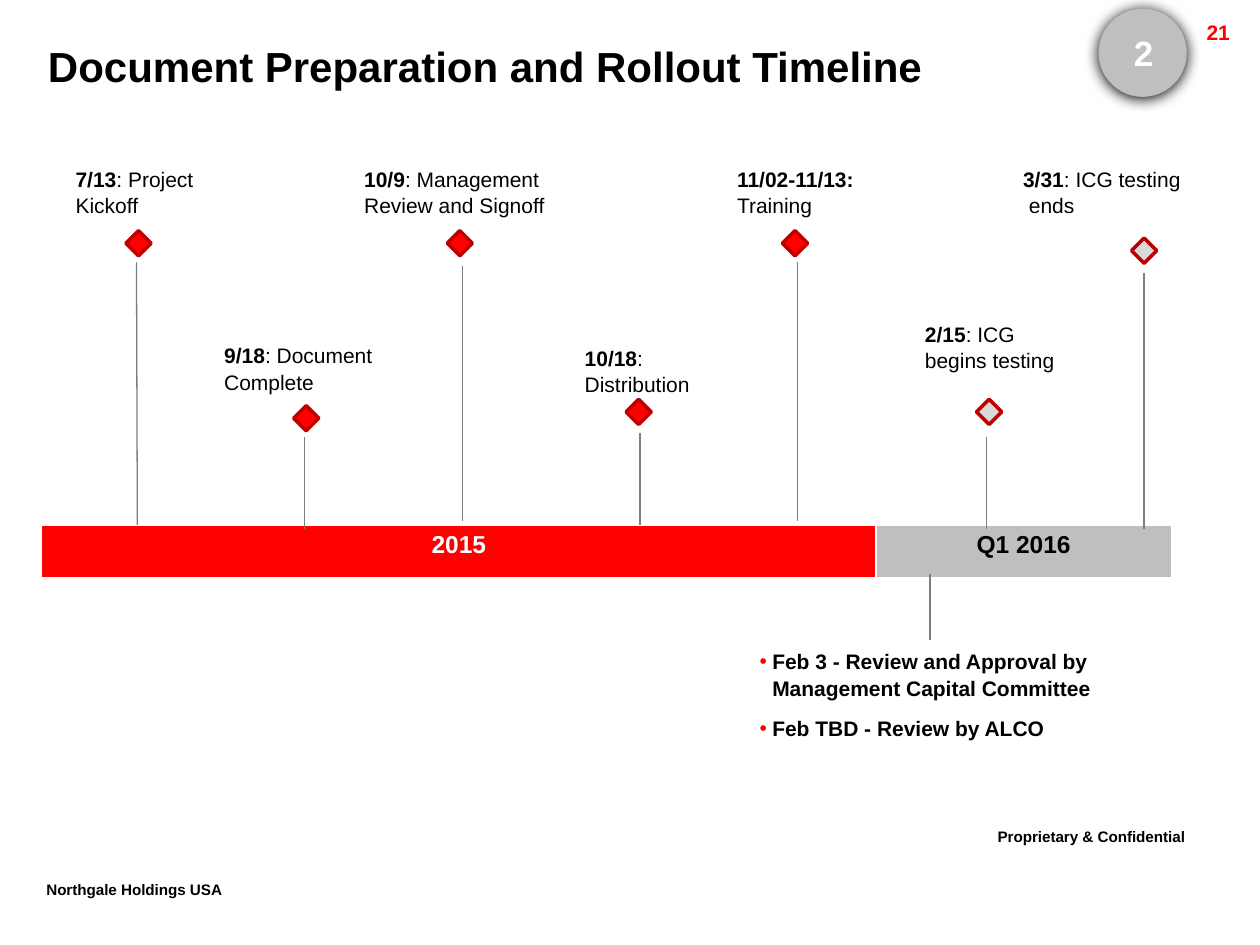
import dataclasses

import pptx
import pptx.dml.color
import pptx.enum.shapes
import pptx.enum.text
import pptx.oxml
import pptx.oxml.ns
import pptx.util

Pt = pptx.util.Pt
RGB = pptx.dml.color.RGBColor.from_string
SHAPE = pptx.enum.shapes.MSO_SHAPE
ALIGN = pptx.enum.text.PP_ALIGN
ANCHOR = pptx.enum.text.MSO_ANCHOR
NAMESPACE = pptx.oxml.ns.nsdecls("a")


@dataclasses.dataclass(frozen=True)
class Theme:
    font: str = "Arial"
    ink: str = "000000"
    paper: str = "FFFFFF"
    accent: str = "FF0000"
    outline: str = "C00000"
    band: str = "BFBFBF"
    pending: str = "D9D9D9"
    stem: str = "7D7D7D"
    title_size: float = 24
    badge_size: float = 20
    footer_size: float = 15
    band_size: float = 14
    text_size: float = 12
    leading: float = 1.05


THEME = Theme()
DIAMOND = 14.4
LABEL_HEIGHT = 37.4
LABEL_INSETS = (7.9, 4.3)
PLAIN_INSETS = (7.2, 3.6)

# (date, rest, label box, diamond corner, stem ends, completed)
MILESTONES = [
    ("7/13", ": Project Kickoff", (35.3, 90, 96.5), (72, 131.8), (78, 150, 78.5, 300), True),
    ("9/18", ": Document Complete", (120.2, 190.8, 106.6), (167.8, 231.8), (174.2, 249.8, 174.2, 302.4), True),
    ("10/9", ": Management Review and Signoff", (200.2, 90, 136), (255.6, 131.8), (264.2, 152, 264.2, 298), True),
    ("10/18", ": Distribution", (326.2, 192.2, 82), (357.8, 228.2), (365.8, 247.7, 365.8, 300), True),
    ("11/02-11/13:", "\nTraining", (413.3, 90, 90.7), (447.1, 131.8), (455.8, 150, 455.8, 298), True),
    ("2/15", ": ICG\nbegins testing", (520.6, 178.6, 90), (558, 228.2), (563.8, 249.8, 563.8, 302.4), False),
    ("3/31", ": ICG testing\n ends", (576.7, 90, 108.7), (646.6, 136.1), (653.8, 156.2, 653.8, 302.4), False),
]
REVIEWS = [
    "Feb 3 - Review and Approval by\nManagement Capital Committee",
    "Feb TBD - Review by ALCO",
]


def apply(target, values):
    for name, value in values.items():
        setattr(target, name, value)


def place(box, left, top, width, height):
    apply(box, {"left": Pt(left), "top": Pt(top), "width": Pt(width), "height": Pt(height)})


def add_span(para, text, size, color=THEME.ink, bold=True):
    for index, line in enumerate(text.split("\n")):
        if index:
            para.add_line_break()
        if line:
            span = para.add_run()
            span.text = line
            apply(span.font, {"name": THEME.font, "size": Pt(size), "bold": bold})
            span.font.color.rgb = RGB(color)


def format_frame(frame, insets=PLAIN_INSETS, wrap=True, anchor=ANCHOR.TOP):
    across, down = map(Pt, insets)
    apply(frame, {
        "margin_left": across, "margin_right": across,
        "margin_top": down, "margin_bottom": down,
        "word_wrap": wrap, "vertical_anchor": anchor,
        "auto_size": pptx.enum.text.MSO_AUTO_SIZE.NONE,
    })


def add_text(page, area, spans, align=ALIGN.LEFT, leading=1.0, **frame_format):
    box = page.shapes.add_textbox(*map(Pt, area))
    format_frame(box.text_frame, **frame_format)
    para = box.text_frame.paragraphs[0]
    apply(para, {"alignment": align, "line_spacing": leading})
    for span in spans:
        add_span(para, *span)
    return para


def add_footer(page, area, text, wrap=True):
    para = add_text(page, area, [(text, THEME.footer_size)], wrap=wrap)
    para.runs[0]._r.get_or_add_rPr().set("baseline", "30000")


def add_stem(page, ends):
    stem = page.shapes.add_connector(pptx.enum.shapes.MSO_CONNECTOR.STRAIGHT, *map(Pt, ends))
    stem.line.width = Pt(0.75)
    stem.line.color.rgb = RGB(THEME.stem)
    stem._element.spPr.append(pptx.oxml.parse_xml(f"<a:effectLst {NAMESPACE}/>"))


def add_figure(page, kind, area, fill):
    figure = page.shapes.add_shape(kind, *map(Pt, area))
    figure.shadow.inherit = False
    figure.fill.solid()
    figure.fill.fore_color.rgb = RGB(fill)
    figure.line.fill.background()
    return figure


def add_milestone(page, date, rest, label, corner, stem, completed):
    spans = [(date, THEME.text_size), (rest, THEME.text_size, THEME.ink, False)]
    add_text(page, (*label, LABEL_HEIGHT), spans, leading=THEME.leading, insets=LABEL_INSETS)
    fill = THEME.accent if completed else THEME.pending
    diamond = add_figure(page, SHAPE.FLOWCHART_DECISION, (*corner, DIAMOND, DIAMOND), fill)
    diamond.line.color.rgb = RGB(THEME.outline)
    diamond.line.width = Pt(2)
    add_stem(page, stem)


def add_borders(cell):
    properties = cell._tc.get_or_add_tcPr()
    for index, (side, width) in enumerate({"L": 1, "R": 1, "T": 1, "B": 3}.items()):
        properties.insert(index, pptx.oxml.parse_xml(
            f'<a:ln{side} {NAMESPACE} w="{Pt(width)}"><a:solidFill>'
            f'<a:srgbClr val="{THEME.paper}"/></a:solidFill></a:ln{side}>'))


def add_period_band(page):
    periods = [("2015", 476.8, THEME.accent, THEME.paper), ("Q1 2016", 168.7, THEME.band, THEME.ink)]
    width = sum(period[1] for period in periods)
    table = page.shapes.add_table(1, len(periods), Pt(23.8), Pt(300.2), Pt(width), Pt(31)).table
    for index, (text, column_width, fill, color) in enumerate(periods):
        table.columns[index].width = Pt(column_width)
        cell = table.cell(0, index)
        cell.fill.solid()
        cell.fill.fore_color.rgb = RGB(fill)
        para = cell.text_frame.paragraphs[0]
        para.alignment = ALIGN.CENTER
        add_span(para, text, THEME.band_size, color)
        add_borders(cell)


def add_badge(page):
    badge = add_figure(page, SHAPE.OVAL, (627.8, 5, 50.4, 50.4), THEME.band)
    effects = badge._element.spPr.find(pptx.oxml.ns.qn("a:effectLst"))
    effects.append(pptx.oxml.parse_xml(
        f'<a:outerShdw {NAMESPACE} blurRad="{Pt(8.5)}" dist="{Pt(1)}" dir="5400000" '
        f'algn="t" rotWithShape="0"><a:srgbClr val="{THEME.ink}"/></a:outerShdw>'))
    add_text(page, (639.4, 14.4, 28.1, 31.7), [("2", THEME.badge_size, THEME.paper)],
             ALIGN.CENTER, anchor=ANCHOR.MIDDLE)


def fill_title(page):
    title = page.shapes.title
    place(title, 20.2, 19.4, 609.8, 36)
    format_frame(title.text_frame)
    para = title.text_frame.paragraphs[0]
    para.alignment = ALIGN.LEFT
    add_span(para, "Document Preparation and Rollout Timeline", THEME.title_size)


def fill_reviews(page):
    body = page.placeholders[1]
    place(body, 426.2, 365.8, 210.2, 60)
    frame = body.text_frame
    format_frame(frame, insets=LABEL_INSETS)
    for index, text in enumerate(REVIEWS):
        para = frame.add_paragraph() if index else frame.paragraphs[0]
        properties = para._p.get_or_add_pPr()
        apply(para, {"space_before": Pt(8 if index else 0), "line_spacing": THEME.leading})
        for name, value in {"marL": Pt(7.2), "indent": -Pt(7.2)}.items():
            properties.set(name, str(int(value)))
        for bullet in (f'<a:buClr {NAMESPACE}><a:srgbClr val="{THEME.accent}"/></a:buClr>',
                       f'<a:buChar {NAMESPACE} char="•"/>'):
            properties.append(pptx.oxml.parse_xml(bullet))
        add_span(para, text, THEME.text_size)


def main():
    deck = pptx.Presentation()
    apply(deck, {"slide_width": Pt(720), "slide_height": Pt(540)})
    page = deck.slides.add_slide(deck.slide_layouts[1])
    fill_title(page)
    fill_reviews(page)
    add_footer(page, (563, 467.3, 157, 25.2), "Proprietary & Confidential")
    add_footer(page, (19.4, 497.5, 137.5, 25.2), "Northgale Holdings USA", wrap=False)
    add_text(page, (641.5, 7.9, 68.4, 17.3), [("21", THEME.text_size, THEME.accent)], ALIGN.RIGHT)
    add_period_band(page)
    for milestone in MILESTONES:
        add_milestone(page, *milestone)
    add_stem(page, (531.4, 328.3, 531.4, 365.8))
    add_badge(page)
    deck.save("out.pptx")


if __name__ == "__main__":
    main()
